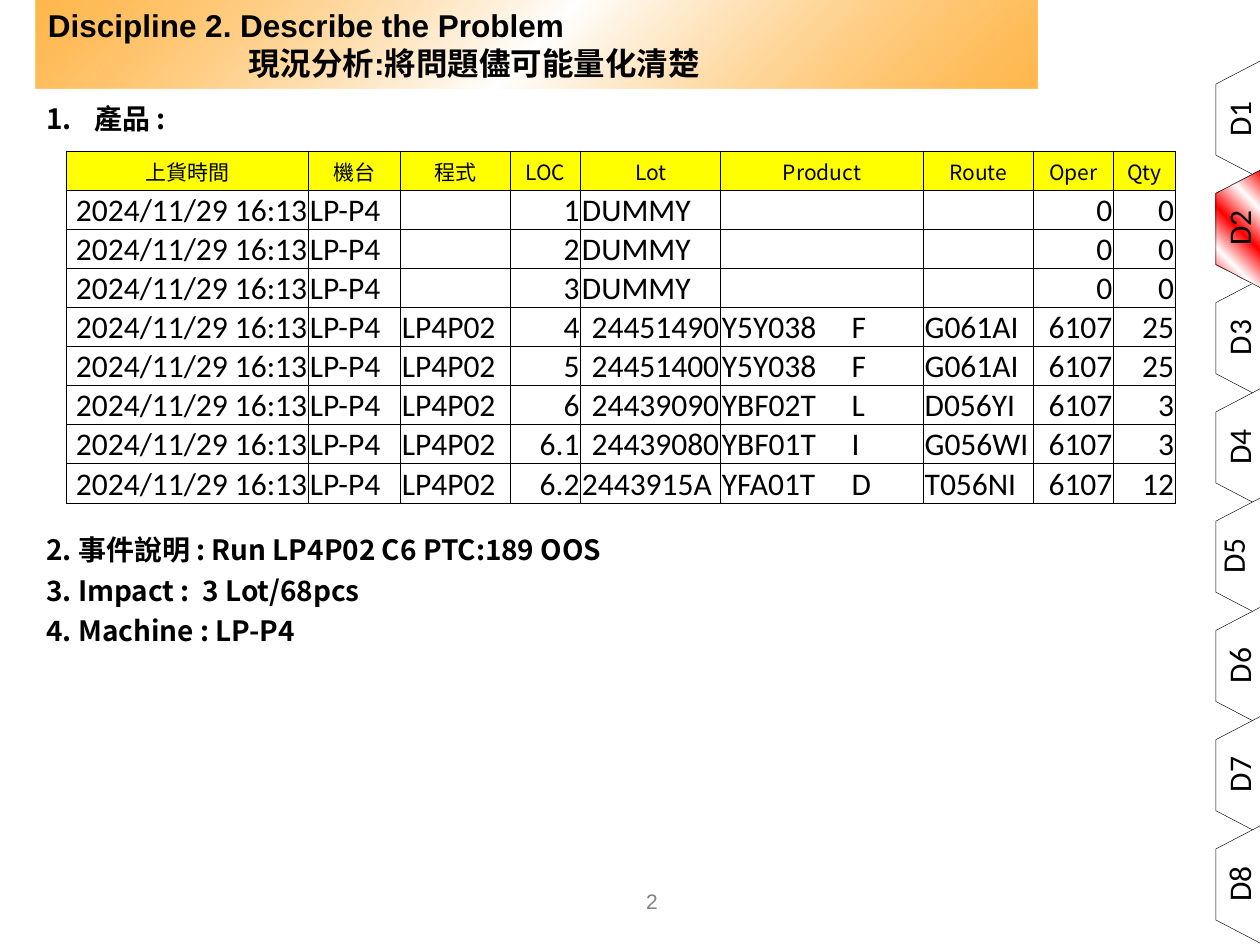
from lxml import etree
from pptx import Presentation
from pptx.dml.color import RGBColor
from pptx.enum import shapes, text
from pptx.oxml import ns
from pptx.util import Inches, Pt

COLORS = {"ink": "000000", "grey": "808080", "white": "FFFFFF", "orange": "FF9900",
          "yellow": "FFFF00", "red": "FF0000", "deep_red": "FE0600"}
CJK = "Noto Sans CJK SC"


def add_run(paragraph, words, size, font=CJK, bold=False, color="ink"):
    run = paragraph.add_run()
    run.text = words
    run.font.size, run.font.name, run.font.bold = Pt(size), font, bold
    run.font.color.rgb = RGBColor.from_string(COLORS[color])
    etree.SubElement(run.font._element, ns.qn("a:ea"), typeface=CJK)


def set_gradient(fill, stops):
    fill.gradient()
    fill.gradient_angle = 315
    stop_list = fill._xPr.find(ns.qn("a:gradFill")).find(ns.qn("a:gsLst"))
    for old_stop in list(stop_list):
        stop_list.remove(old_stop)
    for position, color, opacity in stops:
        stop = etree.SubElement(stop_list, ns.qn("a:gs"), pos=str(position * 1000))
        tint = etree.SubElement(stop, ns.qn("a:srgbClr"), val=COLORS[color])
        if opacity < 100:
            etree.SubElement(tint, ns.qn("a:alpha"), val=str(opacity * 1000))


prs = Presentation()
prs.slide_width, prs.slide_height = Inches(10), Inches(7.5)
slide = prs.slides.add_slide(prs.slide_layouts[5])

# Title band
title = slide.shapes.title
title.left, title.top, title.width, title.height = Inches(0.28), 0, Inches(7.95), Inches(0.7)
set_gradient(title.fill, [(0, "orange", 70), (50, "white", 100), (100, "orange", 70)])
heading = title.text_frame
heading.auto_size = text.MSO_AUTO_SIZE.NONE
heading.vertical_anchor = text.MSO_ANCHOR.MIDDLE
topic, subtopic = heading.paragraphs[0], heading.add_paragraph()
subtopic._p.get_or_add_pPr().set("marL", str(Inches(1.59)))
for line, words in ((topic, "Discipline 2. Describe the Problem"),
                    (subtopic, "現況分析:將問題儘可能量化清楚")):
    line.alignment = text.PP_ALIGN.LEFT
    add_run(line, words, 18, "Arial", bold=True)

# Page number
page_number = slide.shapes.add_textbox(Inches(4.01), Inches(6.95), Inches(2.33), Inches(0.4))
page_number.text_frame.vertical_anchor = text.MSO_ANCHOR.MIDDLE
page_number.text_frame.paragraphs[0].alignment = text.PP_ALIGN.CENTER
add_run(page_number.text_frame.paragraphs[0], "2", 12, "Arial", color="grey")

# Problem items; the space before item 2 leaves room for the product table
items = slide.shapes.add_textbox(Inches(0.27), Inches(0.76), Inches(9.25), Inches(4.81)).text_frame
items.word_wrap = True
product_item = items.paragraphs[0]
numbering = product_item._p.get_or_add_pPr()
numbering.set("marL", str(Inches(0.38)))
numbering.set("indent", str(-Inches(0.38)))
etree.SubElement(numbering, ns.qn("a:buFont"), typeface="+mj-lt")
etree.SubElement(numbering, ns.qn("a:buAutoNum"), type="arabicPeriod")
product_item.font.size, product_item.font.bold = Pt(16), True
add_run(product_item, "產品 :", 16, bold=True)
for words, gap in (("2. 事件說明 : Run LP4P02 C6 PTC:189 OOS", 227),
                   ("3. Impact :  3 Lot/68pcs", 4),
                   ("4. Machine : LP-P4", 4)):
    item = items.add_paragraph()
    item.space_before = Pt(gap)
    add_run(item, words, 16, bold=True)

# Discipline tabs down the right edge, the current one in front
CURRENT = 2
for number in sorted(range(1, 9), key=lambda n: n == CURRENT):
    top = 0.77 + (number - 1) * 6.07 / 7
    tab = slide.shapes.add_shape(shapes.MSO_SHAPE.FLOWCHART_MANUAL_OPERATION,
                                 Inches(9.36), Inches(top), Inches(0.94), Inches(0.36))
    tab.rotation = 90
    tab.shadow.inherit = False
    tab.line.color.rgb = RGBColor.from_string(COLORS["ink"])
    tab.line.width = Pt(0.25)
    if number == CURRENT:
        set_gradient(tab.fill, [(0, "deep_red", 100), (25, "white", 100), (50, "red", 100),
                                (75, "white", 100), (100, "deep_red", 100)])
    else:
        tab.fill.solid()
        tab.fill.fore_color.rgb = RGBColor.from_string(COLORS["white"])

    label_left = 9.55 if number == 5 else 9.6
    label = slide.shapes.add_textbox(Inches(label_left), Inches(top - 0.09),
                                     Inches(0.46), Inches(0.53)).text_frame
    label._txBody.bodyPr.set("vert", "vert270")
    label.vertical_anchor = text.MSO_ANCHOR.MIDDLE
    label.paragraphs[0].alignment = text.PP_ALIGN.CENTER
    add_run(label.paragraphs[0], f"D{number}", 18, "Calibri")

# Product table
LOADED, MACHINE, PROGRAM = "2024/11/29 16:13", "LP-P4", "LP4P02"
header = ["上貨時間", "機台", "程式", "LOC", "Lot", "Product", "Route", "Oper", "Qty"]
dummies = [[LOADED, MACHINE, "", loc, "DUMMY", "", "", "0", "0"] for loc in "123"]
lots = [[LOADED, MACHINE, PROGRAM, loc, lot, product, route, "6107", qty]
        for loc, lot, product, route, qty in (
            ("4", "24451490", "Y5Y038\tF", "G061AI", "25"),
            ("5", "24451400", "Y5Y038\tF", "G061AI", "25"),
            ("6", "24439090", "YBF02T\tL", "D056YI", "3"),
            ("6.1", "24439080", "YBF01T\tI", "G056WI", "3"),
            ("6.2", "2443915A", "YFA01T\tD", "T056NI", "12"))]
rows = [header] + dummies + lots
widths = [1.92, 0.73, 0.87, 0.56, 1.11, 1.61, 0.87, 0.64, 0.49]
table = slide.shapes.add_table(len(rows), len(header), Inches(0.53), Inches(1.2),
                               Inches(8.8), Inches(2.79)).table
table.first_row = table.horz_banding = False
for column, width in zip(table.columns, widths):
    column.width = Inches(width)

for r, values in enumerate(rows):
    table.rows[r].height = Inches(0.31)
    for c, value in enumerate(values):
        cell = table.cell(r, c)
        cell.margin_left = cell.margin_top = cell.margin_right = Inches(0.01)
        cell.margin_bottom = 0
        for side in ("lnL", "lnR", "lnT", "lnB"):
            border = etree.SubElement(cell._tc.get_or_add_tcPr(), ns.qn(f"a:{side}"), w=str(Pt(0.5)))
            paint = etree.SubElement(border, ns.qn("a:solidFill"))
            etree.SubElement(paint, ns.qn("a:srgbClr"), val=COLORS["ink"])
        entry = cell.text_frame.paragraphs[0]
        if r == 0:
            cell.fill.solid()
            cell.fill.fore_color.rgb = RGBColor.from_string(COLORS["yellow"])
            cell.vertical_anchor = text.MSO_ANCHOR.MIDDLE
            entry.alignment = text.PP_ALIGN.CENTER
            add_run(entry, value, 12)
            continue
        cell.fill.background()
        cell.vertical_anchor = text.MSO_ANCHOR.BOTTOM
        if not value:
            continue
        if "\t" in value:
            stops = etree.SubElement(entry._p.get_or_add_pPr(), ns.qn("a:tabLst"))
            etree.SubElement(stops, ns.qn("a:tab"), pos=str(Inches(1.03)), algn="l")
        numeric = value[0].isdigit() and value[-1].isdigit()
        entry.alignment = text.PP_ALIGN.RIGHT if numeric else text.PP_ALIGN.LEFT
        add_run(entry, value, 18, "Calibri")

prs.save("out.pptx")
